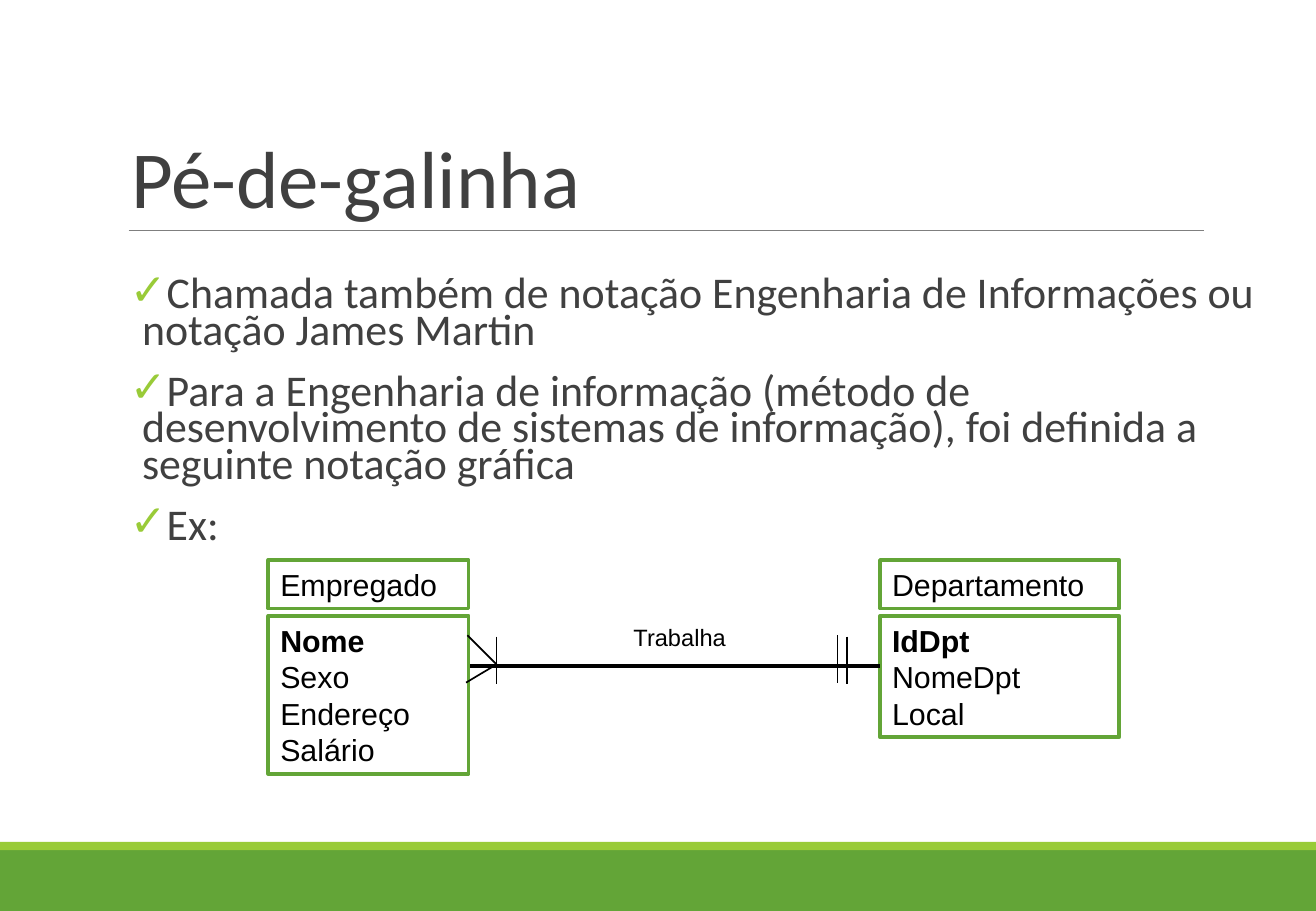
from dataclasses import dataclass

import lxml.etree
import pptx
import pptx.dml.color
import pptx.enum.shapes
import pptx.enum.text
import pptx.oxml.ns
import pptx.util

Anchor = pptx.enum.text.MSO_ANCHOR
AutoSize = pptx.enum.text.MSO_AUTO_SIZE


@dataclass(frozen=True)
class Theme:
    heading_font: str = "Calibri"
    diagram_font: str = "Arial"
    ink: str = "404040"
    black: str = "000000"
    rule: str = "7F7F7F"
    green: str = "63A537"
    lime: str = "99CB38"
    title_size: int = 48
    body_size: int = 26
    entity_size: int = 18
    relation_size: int = 14
    rule_width: float = 0.5
    mark_width: float = 1
    strong_width: float = 2.25


@dataclass(frozen=True)
class Area:
    """Percentages of the slide's width and height."""
    left: float
    top: float
    width: float
    height: float


@dataclass(frozen=True)
class Band:
    area: Area
    color: str


@dataclass(frozen=True)
class Stroke:
    start: tuple[float, float]
    end: tuple[float, float]
    color: str
    width: float


@dataclass(frozen=True)
class Entity:
    name: str
    attributes: list[str]
    left: float
    width: float


THEME = Theme()
SLIDE_WIDTH = pptx.util.Inches(10.84)
SLIDE_HEIGHT = pptx.util.Inches(7.5)

TITLE_AREA = Area(9.04, 4.13, 86.72, 21.2)
TOPICS_AREA = Area(9.87, 30, 87.45, 63.33)
RELATION_AREA = Area(47.23, 67.73, 8.95, 4.53)
NAME_TOP = 61.47
ATTRIBUTES_TOP = 67.6
LINE_HEIGHT = 4
BOX_PADDING = 1.33

BANDS = [
    Band(Area(0, 93.33, 100, 6.67), THEME.green),
    Band(Area(0, 92.4, 100, 0.93), THEME.lime),
]
TOPICS = [
    "Chamada também de notação Engenharia de Informações ou notação James Martin",
    "Para a Engenharia de informação (método de desenvolvimento de sistemas de "
    "informação), foi definida a seguinte notação gráfica",
    "Ex:",
]
ENTITIES = [
    Entity("Departamento", ["IdDpt", "NomeDpt", "Local"], 66.88, 18.17),
    Entity("Empregado", ["Nome", "Sexo", "Endereço", "Salário"], 20.39, 15.22),
]
TITLE_RULE = Stroke((9.78, 25.33), (91.51, 25.33), THEME.rule, THEME.rule_width)
RELATION = Stroke((35.7, 73.07), (66.88, 73.07), THEME.black, THEME.strong_width)
CARDINALITY_MARKS = [
    Stroke(start, end, THEME.black, THEME.mark_width)
    for start, end in [
        ((63.65, 69.73), (63.65, 74.93)),
        ((64.39, 69.87), (64.39, 75.07)),
        ((37.73, 69.87), (37.73, 75.07)),
        ((35.52, 69.73), (37.73, 72.93)),
        ((37.73, 72.93), (35.42, 74.93)),
    ]
]


def across(share: float) -> int:
    return round(SLIDE_WIDTH * share / 100)


def down(share: float) -> int:
    return round(SLIDE_HEIGHT * share / 100)


def bounds(area: Area) -> tuple[int, int, int, int]:
    return across(area.left), down(area.top), across(area.width), down(area.height)


def rgb(color: str) -> pptx.dml.color.RGBColor:
    return pptx.dml.color.RGBColor.from_string(color)


def place(placeholder, area: Area) -> None:
    placeholder.left, placeholder.top, placeholder.width, placeholder.height = bounds(area)


def add_bullet(paragraph, symbol: str, color: str) -> None:
    properties = paragraph._p.get_or_add_pPr()
    indent = pptx.util.Inches(0.1)
    properties.set("marL", str(indent))
    properties.set("indent", str(-indent))
    qn = pptx.oxml.ns.qn
    bullet_color = lxml.etree.SubElement(properties, qn("a:buClr"))
    lxml.etree.SubElement(bullet_color, qn("a:srgbClr"), val=color)
    lxml.etree.SubElement(properties, qn("a:buChar"), char=symbol)


def write(frame, lines: list[str], *, size: float, font: str, color: str,
          bold_lines: int = 0, bullet: str = "", spacing: float = 1,
          before: float = 0, after: float = 0, anchor=Anchor.TOP,
          side_inset: float = 0.1, wrap: bool = True, fit=AutoSize.NONE) -> None:
    frame.word_wrap = wrap
    frame.auto_size = fit
    frame.vertical_anchor = anchor
    frame.margin_left = frame.margin_right = pptx.util.Inches(side_inset)
    frame.margin_top = frame.margin_bottom = pptx.util.Inches(0.05)
    for index, line in enumerate(lines):
        paragraph = frame.add_paragraph() if index else frame.paragraphs[0]
        if bullet:
            add_bullet(paragraph, bullet, THEME.lime)
        paragraph.alignment = pptx.enum.text.PP_ALIGN.LEFT
        paragraph.line_spacing = spacing
        paragraph.space_before = pptx.util.Pt(before if index else 0)
        paragraph.space_after = pptx.util.Pt(after)
        run = paragraph.add_run()
        run.text = line
        run.font.name = font
        run.font.size = pptx.util.Pt(size)
        run.font.bold = index < bold_lines
        run.font.color.rgb = rgb(color)


def add_rectangle(slide, area: Area):
    rectangle = slide.shapes.add_shape(
        pptx.enum.shapes.MSO_SHAPE.RECTANGLE, *bounds(area))
    rectangle.shadow.inherit = False
    return rectangle


def draw_band(slide, band: Band) -> None:
    strip = add_rectangle(slide, band.area)
    strip.fill.solid()
    strip.fill.fore_color.rgb = rgb(band.color)
    strip.line.fill.background()


def draw_stroke(slide, stroke: Stroke) -> None:
    (x1, y1), (x2, y2) = stroke.start, stroke.end
    connector = slide.shapes.add_connector(
        pptx.enum.shapes.MSO_CONNECTOR.STRAIGHT,
        across(x1), down(y1), across(x2), down(y2))
    connector.line.color.rgb = rgb(stroke.color)
    connector.line.width = pptx.util.Pt(stroke.width)
    lxml.etree.SubElement(connector._element.spPr, pptx.oxml.ns.qn("a:effectLst"))


def draw_entity(slide, entity: Entity) -> None:
    sections = [(NAME_TOP, [entity.name], 0), (ATTRIBUTES_TOP, entity.attributes, 1)]
    for top, lines, key_lines in sections:
        height = BOX_PADDING + LINE_HEIGHT * len(lines)
        section = add_rectangle(slide, Area(entity.left, top, entity.width, height))
        section.fill.background()
        section.line.color.rgb = rgb(THEME.green)
        section.line.width = pptx.util.Pt(THEME.strong_width)
        write(section.text_frame, lines, size=THEME.entity_size, font=THEME.diagram_font,
              color=THEME.black, bold_lines=key_lines, fit=AutoSize.SHAPE_TO_FIT_TEXT)


def main() -> None:
    deck = pptx.Presentation()
    deck.slide_width, deck.slide_height = SLIDE_WIDTH, SLIDE_HEIGHT
    slide = deck.slides.add_slide(deck.slide_layouts[1])
    for band in BANDS:
        draw_band(slide, band)
    draw_stroke(slide, TITLE_RULE)

    heading, topics = slide.shapes.title, slide.placeholders[1]
    place(heading, TITLE_AREA)
    write(heading.text_frame, ["Pé-de-galinha"], size=THEME.title_size,
          font=THEME.heading_font, color=THEME.ink, spacing=0.85, anchor=Anchor.BOTTOM)
    place(topics, TOPICS_AREA)
    write(topics.text_frame, TOPICS, size=THEME.body_size, font=THEME.heading_font,
          color=THEME.ink, bullet="✓", spacing=0.7, before=12, after=2, side_inset=0)

    for entity in ENTITIES:
        draw_entity(slide, entity)
    draw_stroke(slide, RELATION)
    relation = slide.shapes.add_textbox(*bounds(RELATION_AREA))
    write(relation.text_frame, ["Trabalha"], size=THEME.relation_size,
          font=THEME.diagram_font, color=THEME.black, wrap=False,
          fit=AutoSize.SHAPE_TO_FIT_TEXT)
    for mark in CARDINALITY_MARKS:
        draw_stroke(slide, mark)
    deck.save("out.pptx")


if __name__ == "__main__":
    main()
